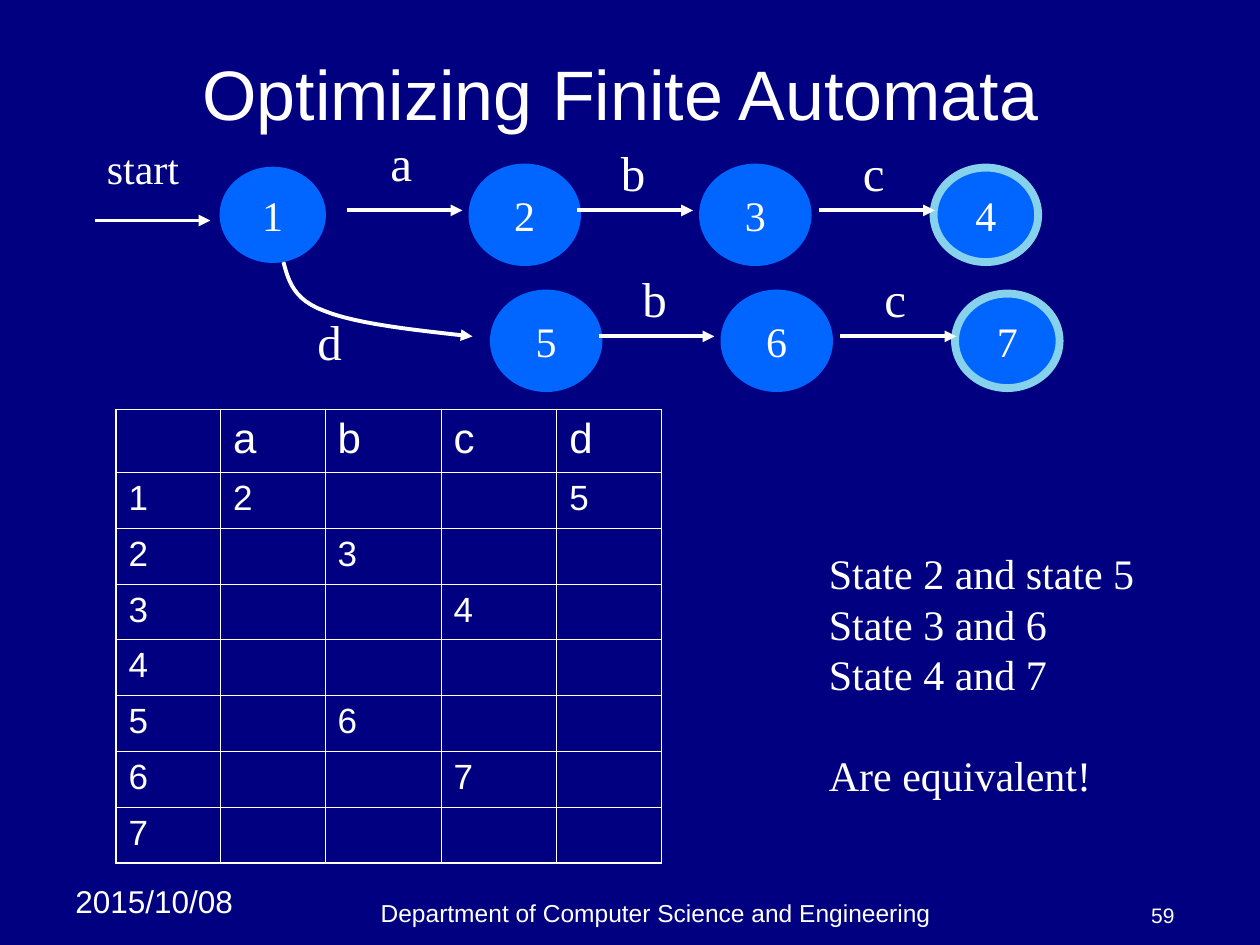
from dataclasses import dataclass

from lxml import etree
from pptx import Presentation
from pptx.dml.color import RGBColor
from pptx.enum import shapes, text
from pptx.oxml import ns
from pptx.util import Inches, Pt


@dataclass(frozen=True)
class Theme:
    back: str = "000080"
    ink: str = "FFFFFF"
    node: str = "0066FF"
    ring: str = "86D1EC"
    sans: str = "Arial"
    serif: str = "Times New Roman"
    title: int = 40
    label: int = 28
    body: int = 24
    cell: int = 20
    date: int = 18
    foot: int = 14
    page: int = 12


look = Theme()
left, mid, right = text.PP_ALIGN.LEFT, text.PP_ALIGN.CENTER, text.PP_ALIGN.RIGHT
top, center, low = text.MSO_ANCHOR.TOP, text.MSO_ANCHOR.MIDDLE, text.MSO_ANCHOR.BOTTOM


def write(frame, words, size, face, align=left, anchor=top):
    frame.text = words
    frame.word_wrap = True
    frame.vertical_anchor = anchor
    for para in frame.paragraphs:
        para.alignment = align
        for run in para.runs:
            run.font.size = Pt(size)
            run.font.name = face
            run.font.color.rgb = RGBColor.from_string(look.ink)


def arrow(shape):
    shape.line.color.rgb = RGBColor.from_string(look.ink)
    shape.line.width = Pt(2.25)
    props = shape.line._get_or_add_ln()
    etree.SubElement(props, ns.qn("a:tailEnd"), type="triangle")
    if shape.shape_type == shapes.MSO_SHAPE_TYPE.FREEFORM:
        shape.shadow.inherit = False
    else:
        etree.SubElement(shape._element.spPr, ns.qn("a:effectLst"))


deck = Presentation()
deck.slide_width, deck.slide_height = Inches(10), Inches(7.5)
slide = deck.slides.add_slide(deck.slide_layouts[5])
slide.background.fill.solid()
slide.background.fill.fore_color.rgb = RGBColor.from_string(look.back)
items = slide.shapes

title = items.title
title.left, title.top = Inches(0.5), Inches(0.32)
title.width, title.height = Inches(9), Inches(0.83)
write(title.text_frame, "Optimizing Finite Automata ", look.title, look.sans, mid, center)

nodes = [("1", 1.75, 1.33, look.node, 1)]
links = [(0.75, 1.75), (2.75, 1.67)]
labels = [("a", 3, 1), ("d", 2.42, 2.42)]
for names, dx, dy in (("234", 0, 0), ("567", 0.17, 1)):
    for i, name in enumerate(names):
        edge = look.ring if i == 2 else look.node
        nodes.append((name, 3.75 + dx + 1.83 * i, 1.33 + dy, edge, 4.5))
    for i, name in enumerate("bc"):
        links.append((4.58 + dx + 1.92 * i, 1.67 + dy))
        labels.append((name, 4.83 + dx + 1.92 * i, 1.08 + dy))

for name, x, y, edge, width in nodes:
    state = items.add_shape(shapes.MSO_SHAPE.OVAL, Inches(x), Inches(y), Inches(0.83), Inches(0.75))
    state.shadow.inherit = False
    state.fill.solid()
    state.fill.fore_color.rgb = RGBColor.from_string(look.node)
    state.line.color.rgb = RGBColor.from_string(edge)
    state.line.width = Pt(width)
    write(state.text_frame, name, look.body, look.serif, mid, center)

for x, y in links:
    arrow(items.add_connector(shapes.MSO_CONNECTOR.STRAIGHT,
                              Inches(x), Inches(y), Inches(x + 0.92), Inches(y)))

curves = [
    [(2.25, 2.08), (2.29, 2.23), (2.33, 2.38), (2.58, 2.47)],
    [(2.58, 2.47), (2.83, 2.57), (3.29, 2.62), (3.75, 2.67)],
]
dots = []
for curve in curves:
    for step in range(1, 13):
        t = step / 12
        parts = ((1 - t) ** 3, 3 * t * (1 - t) ** 2, 3 * t * t * (1 - t), t ** 3)
        dots.append([Inches(sum(w * p[k] for w, p in zip(parts, curve))) for k in (0, 1)])
pen = items.build_freeform(Inches(2.25), Inches(2.08))
pen.add_line_segments(dots, close=False)
bend = pen.convert_to_shape()
bend.fill.background()
arrow(bend)

notes = [(name, x, y, 0.42, 0.57, look.label, look.serif, left, top) for name, x, y in labels]
notes += [
    ("start", 0.75, 1.08, 0.85, 0.5, look.body, look.serif, left, top),
    ("2015/10/08", 0.5, 6.95, 1.58, 0.4, look.date, look.sans, left, top),
    ("Department of Computer Science and Engineering",
     1.83, 7.08, 6.75, 0.33, look.foot, look.sans, mid, low),
    ("59", 8.75, 7.08, 0.67, 0.33, look.page, look.sans, right, low),
    ("State 2 and state 5\nState 3 and 6\nState 4 and 7\nAre equivalent!",
     6.48, 4.3, 2.75, 2.1, look.body, look.serif, left, top),
]
for words, x, y, w, h, *style in notes:
    box = items.add_textbox(Inches(x), Inches(y), Inches(w), Inches(h))
    write(box.text_frame, words, *style)
box.text_frame.paragraphs[-1].space_before = Pt(28.8)

moves = [
    ["", "a", "b", "c", "d"],
    ["1", "2", "", "", "5"],
    ["2", "", "3", "", ""],
    ["3", "", "", "4", ""],
    ["4", "", "", "", ""],
    ["5", "", "6", "", ""],
    ["6", "", "", "7", ""],
    ["7", "", "", "", ""],
]
rows, cols = len(moves), len(moves[0])
grid = items.add_table(rows, cols, Inches(0.92), Inches(3.25), Inches(4.33), Inches(3.6)).table
grid.first_row = grid.horz_banding = False
for col, width in zip(grid.columns, (0.83, 0.83, 0.92, 0.92, 0.83)):
    col.width = Inches(width)
for r, line in enumerate(moves):
    grid.rows[r].height = Inches(3.1 / (rows - 1) if r else 0.5)
    for c, words in enumerate(line):
        cell = grid.cell(r, c)
        cell.fill.background()
        write(cell.text_frame, words, look.cell if r else look.body, look.sans)
        props = cell._tc.get_or_add_tcPr()
        sides = (("L", c == 0), ("R", c == cols - 1), ("T", r == 0), ("B", r == rows - 1))
        for i, (side, outer) in enumerate(sides):
            rule = etree.Element(ns.qn("a:ln" + side), w=str(Pt(1.08 if outer else 0.45)))
            fill = etree.SubElement(rule, ns.qn("a:solidFill"))
            etree.SubElement(fill, ns.qn("a:srgbClr"), val=look.ink)
            props.insert(i, rule)

deck.save("out.pptx")
